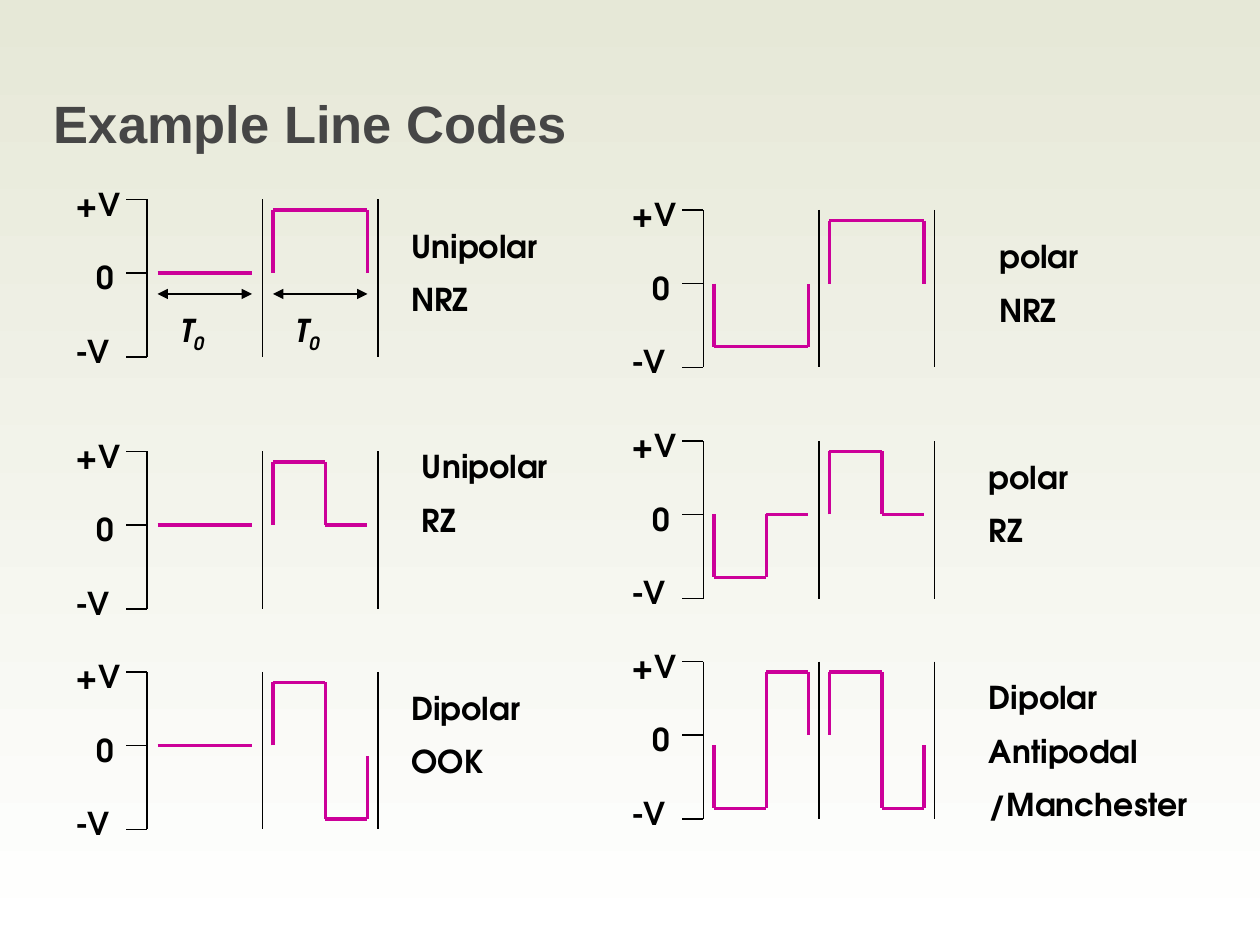
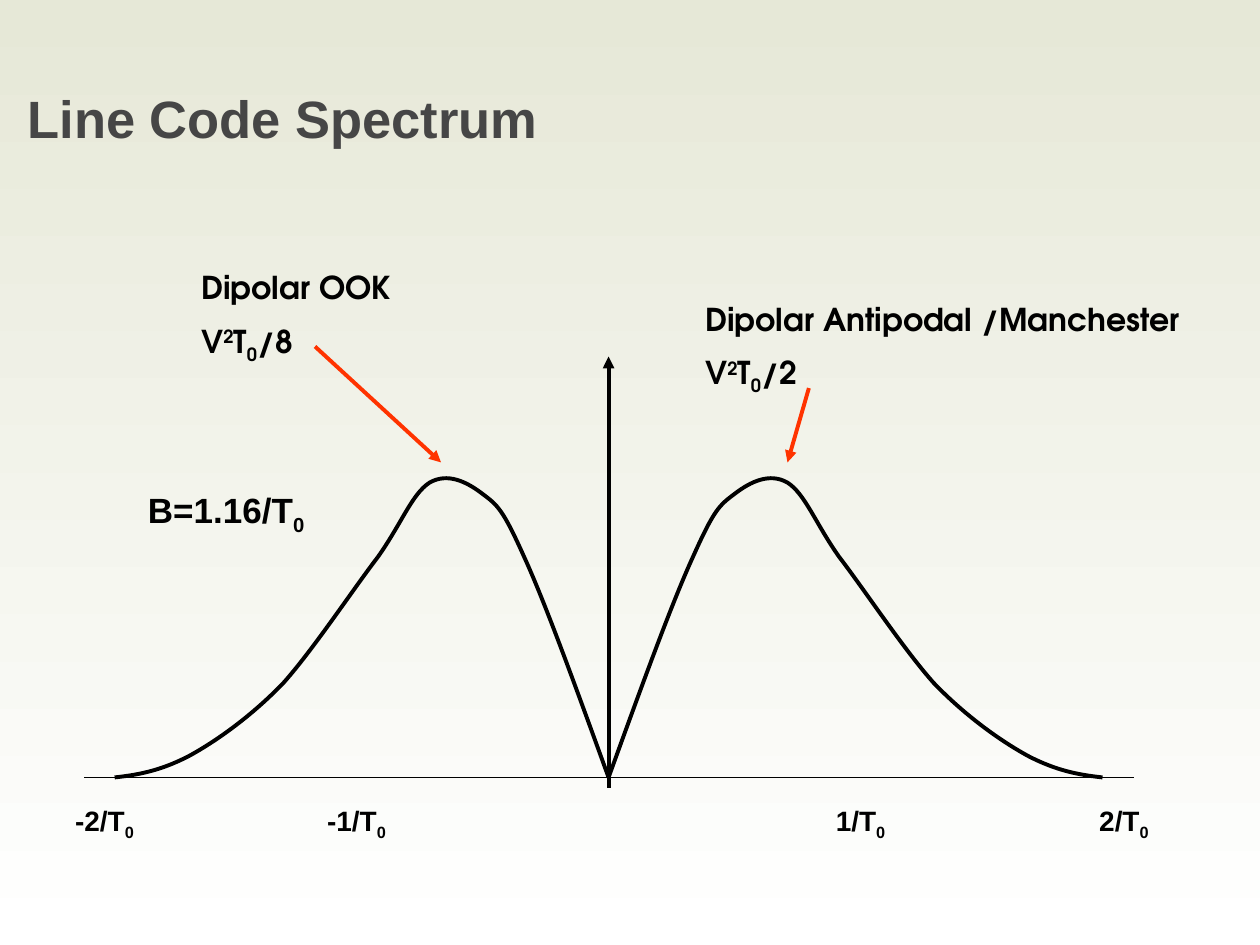
from lxml.etree import SubElement
from pptx import Presentation
from pptx.dml.color import RGBColor
from pptx.enum.shapes import MSO_CONNECTOR
from pptx.enum.text import PP_ALIGN
from pptx.oxml.ns import qn
from pptx.util import Inches, Pt

BLACK = RGBColor(0x00, 0x00, 0x00)
TITLE_GREY = RGBColor(0x46, 0x46, 0x46)
SIGNAL_PINK = RGBColor(0xCC, 0x00, 0x99)
POINTER_RED = RGBColor(0xFF, 0x33, 0x00)
SAGE = RGBColor(0xE6, 0xE8, 0xD7)
WHITE = RGBColor(0xFF, 0xFF, 0xFF)
SANS = "Arial"
GEOMETRIC = "TeX Gyre Adventor"

UNIT = 1 / 12  # grid step of the line code panels, in inches
SQUARED = ("2", 30)  # raised by 30 percent
ZERO = ("0", -25)  # lowered by 25 percent

# Signal levels and times inside a panel, in grid units from the axis top
ZERO_LEVEL = 7
IDLE = [(1, 7), (10, 7)]
HIGH_NRZ = [(12, 7), (12, 1), (21, 1), (21, 7)]
HIGH_RZ = [(12, 7), (12, 1), (17, 1), (17, 7), (21, 7)]
HIGH_DIPOLAR = [(12, 7), (12, 1), (17, 1), (17, 14), (21, 14), (21, 8)]
LOW_NRZ = [(1, 7), (1, 13), (10, 13), (10, 7)]
LOW_RZ = [(1, 7), (1, 13), (6, 13), (6, 7), (10, 7)]
LOW_DIPOLAR = [(1, 8), (1, 14), (6, 14), (6, 1), (10, 1), (10, 7)]

# Axis top, name lines, name offset, name width, signal for bit 0 and bit 1
LINE_CODES = [
    ((14, 19), ["Unipolar", "NRZ"], (24, 2), 17, IDLE, HIGH_NRZ),
    ((14, 43), ["Unipolar", "RZ"], (25, -1), 17, IDLE, HIGH_RZ),
    ((14, 64), ["Dipolar", "OOK"], (24, 1), 17, IDLE, HIGH_DIPOLAR),
    ((67, 20), ["polar", "NRZ"], (27, 2), 17, LOW_NRZ, HIGH_NRZ),
    ((67, 42), ["polar", "RZ"], (26, 1), 17, LOW_RZ, HIGH_RZ),
    ((67, 63), ["Dipolar", "Antipodal", "/Manchester"], (26, 1), 22,
     LOW_DIPOLAR, HIGH_DIPOLAR),
]

# Bezier points of one spectrum lobe: distance from the origin and height
ORIGIN = (4.83, 6.17)
LOBE = [
    (0.25, 0.69), (0.5, 1.38), (0.67, 1.75),
    (0.84, 2.13), (0.88, 2.16), (1, 2.25),
    (1.13, 2.35), (1.28, 2.42), (1.42, 2.34),
    (1.56, 2.25), (1.64, 2.02), (1.83, 1.75),
    (2.03, 1.49), (2.34, 1.02), (2.58, 0.75),
    (2.83, 0.49), (3.11, 0.29), (3.33, 0.17),
    (3.56, 0.05), (3.74, 0.02), (3.92, 0),
]


def add_text(shapes, lines, left, top, width, height, size=18, font=GEOMETRIC,
             color=BLACK, italic=False, align=PP_ALIGN.LEFT, top_inset=0.05):
    """Add bold text; a line is a string or a list of strings and (text, baseline)."""
    box = shapes.add_textbox(*map(Inches, (left, top, width, height)))
    frame = box.text_frame
    frame.word_wrap = True
    frame.margin_top = Inches(top_inset)
    for index, line in enumerate(lines):
        paragraph = frame.paragraphs[0] if index == 0 else frame.add_paragraph()
        paragraph.alignment = align
        if index:
            paragraph.space_before = Pt(size / 2)
        for part in [line] if isinstance(line, str) else line:
            words, baseline = (part, 0) if isinstance(part, str) else part
            run = paragraph.add_run()
            run.text = words
            run.font.name = font
            run.font.size = Pt(size)
            run.font.bold = True
            run.font.italic = italic
            run.font.color.rgb = color
            if baseline:
                run._r.get_or_add_rPr().set("baseline", str(baseline * 1000))


def add_line(shapes, start, end, color=BLACK, weight=1, head=False, tail=False):
    """Add a straight line, with an arrowhead at its start or end on request."""
    line = shapes.add_connector(MSO_CONNECTOR.STRAIGHT,
                                *map(Inches, (*start, *end)))
    line.line.color.rgb = color
    line.line.width = Pt(weight)
    outline = line.line._get_or_add_ln()
    for wanted, tag in ((head, "a:headEnd"), (tail, "a:tailEnd")):
        if wanted:
            SubElement(outline, qn(tag), type="triangle")
    SubElement(line._element.spPr, qn("a:effectLst"))


def add_lobe(shapes, side):
    """Add one lobe of the spectrum; side is -1 for left and 1 for right."""
    x0, y0 = ORIGIN
    points = [(Inches(x0 + side * dx), Inches(y0 - dy)) for dx, dy in LOBE]
    builder = shapes.build_freeform(Inches(x0), Inches(y0))
    builder.add_line_segments(points, close=False)
    lobe = builder.convert_to_shape()
    lobe.shadow.inherit = False
    lobe.fill.background()
    lobe.line.color.rgb = BLACK
    lobe.line.width = Pt(2.25)
    # Turn every three straight segments into one Bezier segment
    outline = lobe._element.xpath(".//a:path")[0]
    segments = outline.findall(qn("a:lnTo"))
    for first in range(0, len(segments), 3):
        bezier = SubElement(outline, qn("a:cubicBezTo"))
        for segment in segments[first:first + 3]:
            bezier.append(segment[0])
            outline.remove(segment)


def add_slide(deck, title, left, top, height):
    """Add a blank slide with the shared background and title style."""
    slide = deck.slides.add_slide(deck.slide_layouts[6])
    fill = slide.background.fill
    fill.gradient()
    fill.gradient_angle = 270
    for stop, color, position in zip(fill.gradient_stops, (SAGE, WHITE), (0, 1)):
        stop.color.rgb = color
        stop.position = position
    add_text(slide.shapes, [title], left, top, 9.28, height, size=30, font=SANS,
             color=TITLE_GREY, top_inset=0.08)
    return slide.shapes


def placer(axis_top):
    """Return a function that turns panel grid units into slide inches."""
    column, row = axis_top
    return lambda x, y: ((column + x) * UNIT, (row + y) * UNIT)


def add_axes(shapes, at):
    """Add the voltage axis, its labelled ticks and the bit dividers as a group."""
    panel = shapes.add_group_shape().shapes
    for x in (0, 11, 22):
        add_line(panel, at(x, 0), at(x, 15))
    for label, tick, x, width in (("+V", 0, -8, 7), ("0", ZERO_LEVEL, -6, 4),
                                  ("-V", 15, -8, 7)):
        add_line(panel, at(-2, tick), at(0, tick))
        label_row = tick - 3 if tick == 15 else tick - 2
        add_text(panel, [label], *at(x, label_row), width * UNIT, 0.4)


def add_signal(shapes, at, corners):
    """Draw a signal as straight strokes from corner to corner."""
    for start, end in zip(corners, corners[1:]):
        add_line(shapes, at(*start), at(*end), SIGNAL_PINK, 2.25)


def add_bit_times(shapes, at):
    """Mark the duration of both bits with a double arrow."""
    for start in (1, 12):
        add_line(shapes, at(start, 9), at(start + 9, 9), head=True, tail=True)
        add_text(shapes, [["T", ZERO]], *at(start + 1, 10), 0.5, 0.4, italic=True)


def build_line_codes(deck):
    """Build the slide with the six line codes."""
    shapes = add_slide(deck, "Example Line Codes", 0.33, 0.64, 1.42)
    for axis_top, name, offset, width, bit_zero, bit_one in LINE_CODES:
        at = placer(axis_top)
        add_axes(shapes, at)
        add_signal(shapes, at, bit_zero)
        add_signal(shapes, at, bit_one)
        add_text(shapes, name, *at(*offset), width * UNIT, 0.45 * len(name) - 0.05)
    add_bit_times(shapes, placer(LINE_CODES[0][0]))


def build_spectrum(deck):
    """Build the slide with the line code spectrum."""
    shapes = add_slide(deck, "Line Code Spectrum", 0.12, 0.6, 0.71)
    for name, divisor, left, top, width in (
            ("Dipolar Antipodal /Manchester", "/2", 5.5, 2.33, 4.08),
            ("Dipolar OOK", "/8", 1.5, 2.08, 2)):
        add_text(shapes, [name, ["V", SQUARED, "T", ZERO, divisor]],
                 left, top, width, 0.85)
    add_line(shapes, (4.83, 6.25), (4.83, 2.83), weight=2.25, tail=True)
    add_line(shapes, (0.67, 6.17), (9, 6.17))
    for label, left in (("-2/T", 0.33), ("-1/T", 2.33), ("1/T", 6.33), ("2/T", 8.42)):
        add_text(shapes, [[label, ZERO]], left, 6.33, 1, 0.37, size=16, font=SANS,
                 align=PP_ALIGN.CENTER)
    for start, peak in (((2.5, 2.75), (3.5, 3.67)), ((6.42, 3.08), (6.25, 3.67))):
        add_line(shapes, start, peak, POINTER_RED, 2.25, tail=True)
    add_text(shapes, [["B=1.16/T", ZERO]], 0.67, 3.83, 2.25, 0.43, size=20,
             font=SANS, align=PP_ALIGN.CENTER)
    for side in (-1, 1):
        add_lobe(shapes, side)


def main():
    """Build and save the two slides."""
    deck = Presentation()
    deck.slide_width, deck.slide_height = Inches(10), Inches(7.5)
    build_line_codes(deck)
    build_spectrum(deck)
    deck.save("out.pptx")


main()
